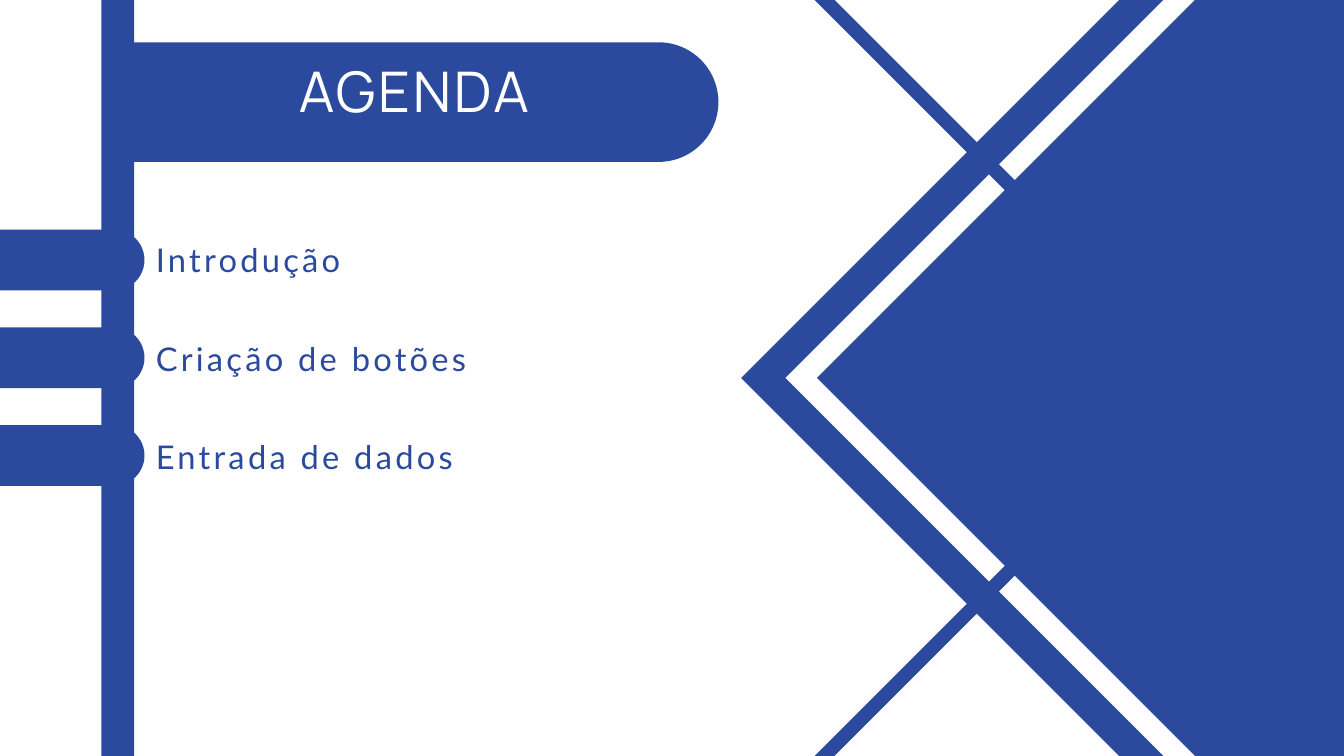
"""Build the agenda slide with its pill labels and diamond pattern."""
from pptx import Presentation
from pptx.dml.color import RGBColor
from pptx.enum.shapes import MSO_SHAPE as Shape
from pptx.enum.text import MSO_AUTO_SIZE as AutoSize, PP_ALIGN as Align
from pptx.util import Pt

BLUE, WHITE = "2B4A9D", "FFFFFF"


def add_figure(kind, center_x, center_y, width, height, color=BLUE, angle=0, adjust=()):
    """Add a filled shape around a center point."""
    figure = page.shapes.add_shape(kind, Pt(center_x - width / 2), Pt(center_y - height / 2),
                                   Pt(width), Pt(height))
    figure.shadow.inherit = False
    figure.rotation = angle
    figure.fill.solid()
    figure.fill.fore_color.rgb = RGBColor.from_string(color)
    figure.line.fill.background()
    for index, value in enumerate(adjust):
        figure.adjustments[index] = value


def add_text(text, *, left, top, width, height, font, size, color, leading, spacing,
             align=Align.LEFT):
    """Add one line of formatted text."""
    box = page.shapes.add_textbox(Pt(left), Pt(top), Pt(width), Pt(height))
    frame = box.text_frame
    frame.word_wrap = True
    frame.auto_size = AutoSize.SHAPE_TO_FIT_TEXT
    frame.margin_left = frame.margin_right = frame.margin_top = frame.margin_bottom = 0
    para = frame.paragraphs[0]
    para.alignment = align
    para.line_spacing = Pt(leading)
    span = para.add_run()
    span.text = text
    span.font.name = font
    span.font.size = Pt(size)
    span.font.color.rgb = RGBColor.from_string(color)
    span._r.get_or_add_rPr().set("spc", str(int(spacing * 100)))


deck = Presentation()
deck.slide_width, deck.slide_height = Pt(1440), Pt(810)
page = deck.slides.add_slide(deck.slide_layouts[6])
page.background.fill.solid()
page.background.fill.fore_color.rgb = RGBColor.from_string(WHITE)

add_figure(Shape.RECTANGLE, 126.2, 405, 35.2, 810)
add_figure(Shape.RECTANGLE, 1360.8, 405, 801.4, 801.4, angle=315)
add_figure(Shape.FRAME, 1364.4, 405, 739.4, 739.4, WHITE, 45, [0.032])
for center_y in (876.2, -66.2):
    add_figure(Shape.FRAME, 1149.8, center_y, 485.3, 485.3, BLUE, 45, [0.031])

add_figure(Shape.ROUND_2_SAME_RECTANGLE, 456.5, 109.4, 128.2, 626.4, angle=90, adjust=[0.5, 0])
add_text("AGENDA", left=167, top=69.1, width=553, height=70.6, font="Manrope", size=60,
         color=WHITE, leading=63, spacing=3, align=Align.CENTER)

topics = [("Introdução", 249.8), ("Criação de botões", 356.4), ("Entrada de dados", 460.8)]
for row, (topic, top) in enumerate(topics):
    add_figure(Shape.ROUND_2_SAME_RECTANGLE, 77.4, 278.6 + 104.7 * row, 65.2, 154.8,
               angle=90, adjust=[0.5, 0])
    add_text(topic, left=167, top=top, width=578.2, height=47.5, font="Lato", size=35,
             color=BLUE, leading=49, spacing=3.5)

deck.save("out.pptx")
